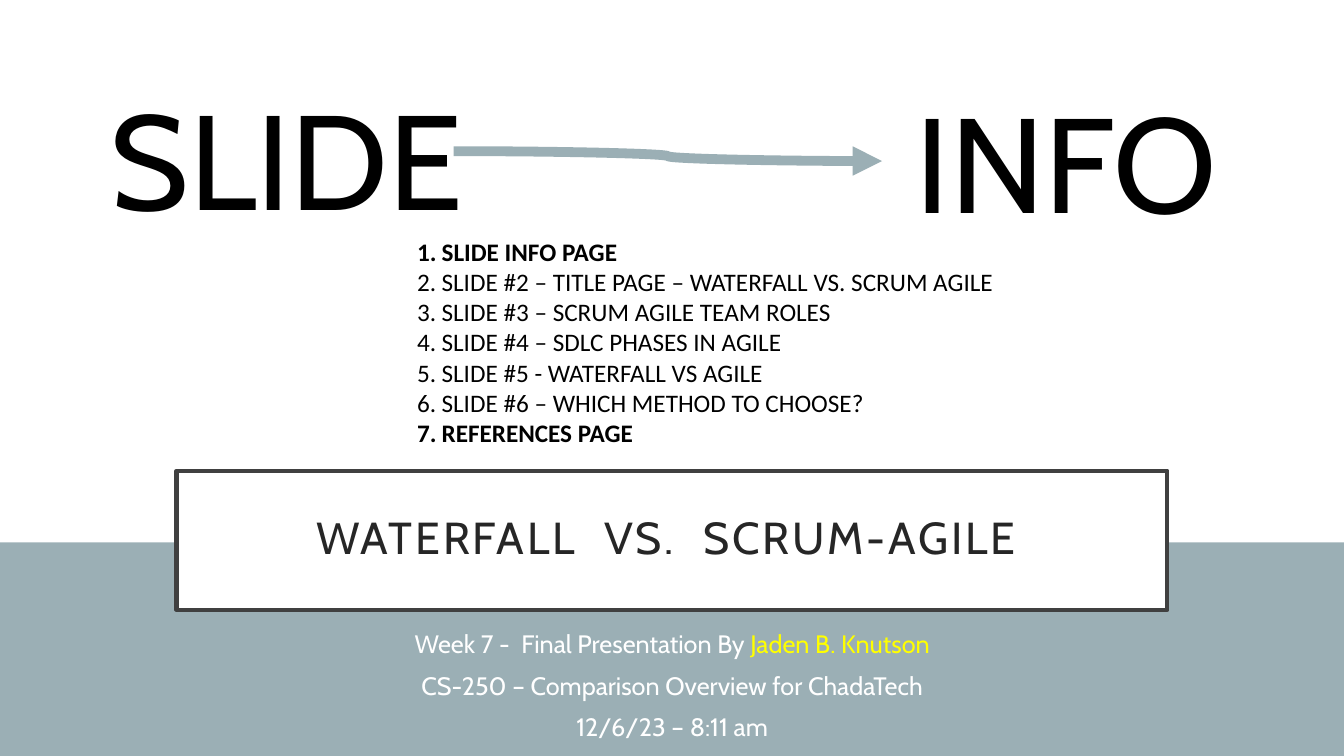
import pptx
import pptx.util
import pptx.dml.color
import pptx.enum.shapes
import pptx.enum.text
import pptx.oxml.ns
from dataclasses import dataclass
from lxml import etree

Cm, Pt = pptx.util.Cm, pptx.util.Pt
RGB = pptx.dml.color.RGBColor.from_string
CENTER = pptx.enum.text.PP_ALIGN.CENTER


@dataclass(frozen=True)
class Theme:
    teal: str = "9BAFB5"
    white: str = "FFFFFF"
    black: str = "000000"
    frame: str = "404040"
    title: str = "262626"
    yellow: str = "FFFF00"
    heading_font: str = "Cabin"
    list_font: str = "Calibri"
    banner_size: int = 96
    title_size: int = 32
    text_size: int = 18


T = Theme()


def add_run(p, text, size, color, font=T.heading_font, bold=False, spacing=0):
    """Add one formatted run; spacing is the letter spacing in points."""
    r = p.add_run()
    r.text = text
    r.font.name, r.font.size, r.font.bold = font, Pt(size), bold
    r.font.color.rgb = RGB(color)
    if spacing:
        r.font._element.set("spc", str(round(spacing * 100)))


def sub(parent, tag, **attrs):
    """Append a DrawingML element to parent."""
    return etree.SubElement(parent, pptx.oxml.ns.qn(tag), **attrs)


prs = pptx.Presentation()
prs.slide_width, prs.slide_height = Cm(33.87), Cm(19.05)
s = prs.slides.add_slide(prs.slide_layouts[0])
s.background.fill.solid()
s.background.fill.fore_color.rgb = RGB(T.teal)

# White upper area, sent behind the placeholders
upper = s.shapes.add_shape(pptx.enum.shapes.MSO_SHAPE.RECTANGLE, 0, 0, prs.slide_width, Cm(13.67))
upper.shadow.inherit = False
upper.fill.solid()
upper.fill.fore_color.rgb = RGB(T.white)
upper.line.fill.background()
s.shapes._spTree.insert(2, upper._element)

# Framed title
title = s.shapes.title
title.left, title.top, title.width, title.height = Cm(4.45), Cm(11.86), Cm(24.97), Cm(3.51)
title.fill.solid()
title.fill.fore_color.rgb = RGB(T.white)
title.line.color.rgb = RGB(T.frame)
title.line.width = Pt(3)
tf = title.text_frame
tf.word_wrap = True
tf.auto_size = pptx.enum.text.MSO_AUTO_SIZE.NONE
tf.vertical_anchor = pptx.enum.text.MSO_ANCHOR.MIDDLE
tf.margin_left, tf.margin_right = Cm(0.76), Cm(1.06)
tf.margin_top = tf.margin_bottom = Cm(0.5)
p = tf.paragraphs[0]
p.alignment, p.line_spacing = CENTER, 0.9
for text, spacing in [("WATERFALL", 2), (" ", 11.5), ("VS.", 2), (" ", 11.5), ("SCRUM-AGILE", 2)]:
    add_run(p, text, T.title_size, T.title, spacing=spacing)

# Subtitle
subtitle = s.placeholders[1]
subtitle.left, subtitle.top, subtitle.width, subtitle.height = Cm(7.49), Cm(15.8), Cm(18.9), Cm(1.5)
tf = subtitle.text_frame
tf.word_wrap = True
tf.auto_size = pptx.enum.text.MSO_AUTO_SIZE.NONE
subtitle_lines = [
    [("Week 7 -", T.white, 0), (" ", T.white, 4.2), ("Final Presentation By", T.white, 0),
     (" Jaden B. Knutson", T.yellow, 0)],
    [("CS-250 – Comparison Overview for ChadaTech", T.white, 0)],
    [("12/6/23 – 8:11 am", T.white, 0)],
]
for i, line in enumerate(subtitle_lines):
    p = tf.add_paragraph() if i else tf.paragraphs[0]
    p.alignment, p.line_spacing = CENTER, 0.9
    p.space_before = Pt(10 if i else 0)
    for text, color, spacing in line:
        add_run(p, text, T.text_size, color, spacing=spacing)

# Arrow between the two banner words
arrow = s.shapes.add_connector(pptx.enum.shapes.MSO_CONNECTOR.CURVE,
                               Cm(11.43), Cm(3.81), Cm(22.23), Cm(4.06))
arrow.line.color.rgb = RGB(T.teal)
arrow.line.width = Pt(7)
sub(arrow.line._get_or_add_ln(), "a:tailEnd", type="triangle")
sub(arrow._element.spPr, "a:effectLst")

# Banner words
for word, left, top, width in [("SLIDE", 2.54, 1.8, 16.08), ("INFO", 22.83, 1.88, 11)]:
    tf = s.shapes.add_textbox(Cm(left), Cm(top), Cm(width), Cm(4.37)).text_frame
    tf.word_wrap = True
    add_run(tf.paragraphs[0], word, T.banner_size, T.black)

# Numbered slide list, first and last entries bold
entries = [
    "SLIDE INFO PAGE",
    "SLIDE #2 – TITLE PAGE – WATERFALL VS. SCRUM AGILE",
    "SLIDE #3 – SCRUM AGILE TEAM ROLES",
    "SLIDE #4 – SDLC PHASES IN AGILE",
    "SLIDE #5 - WATERFALL VS AGILE",
    "SLIDE #6 – WHICH METHOD TO CHOOSE?",
    "REFERENCES PAGE",
]
tf = s.shapes.add_textbox(Cm(10.26), Cm(5.82), Cm(18.42), Cm(6.4)).text_frame
tf.word_wrap = True
for i, entry in enumerate(entries):
    p = tf.add_paragraph() if i else tf.paragraphs[0]
    pPr = p._p.get_or_add_pPr()
    pPr.set("marL", str(Cm(0.62)))
    pPr.set("indent", str(-Cm(0.62)))
    sub(pPr, "a:buFont", typeface="+mj-lt")
    sub(pPr, "a:buAutoNum", type="arabicPeriod")
    add_run(p, entry, T.text_size, T.black, T.list_font, bold=i in (0, len(entries) - 1))

prs.save("out.pptx")
